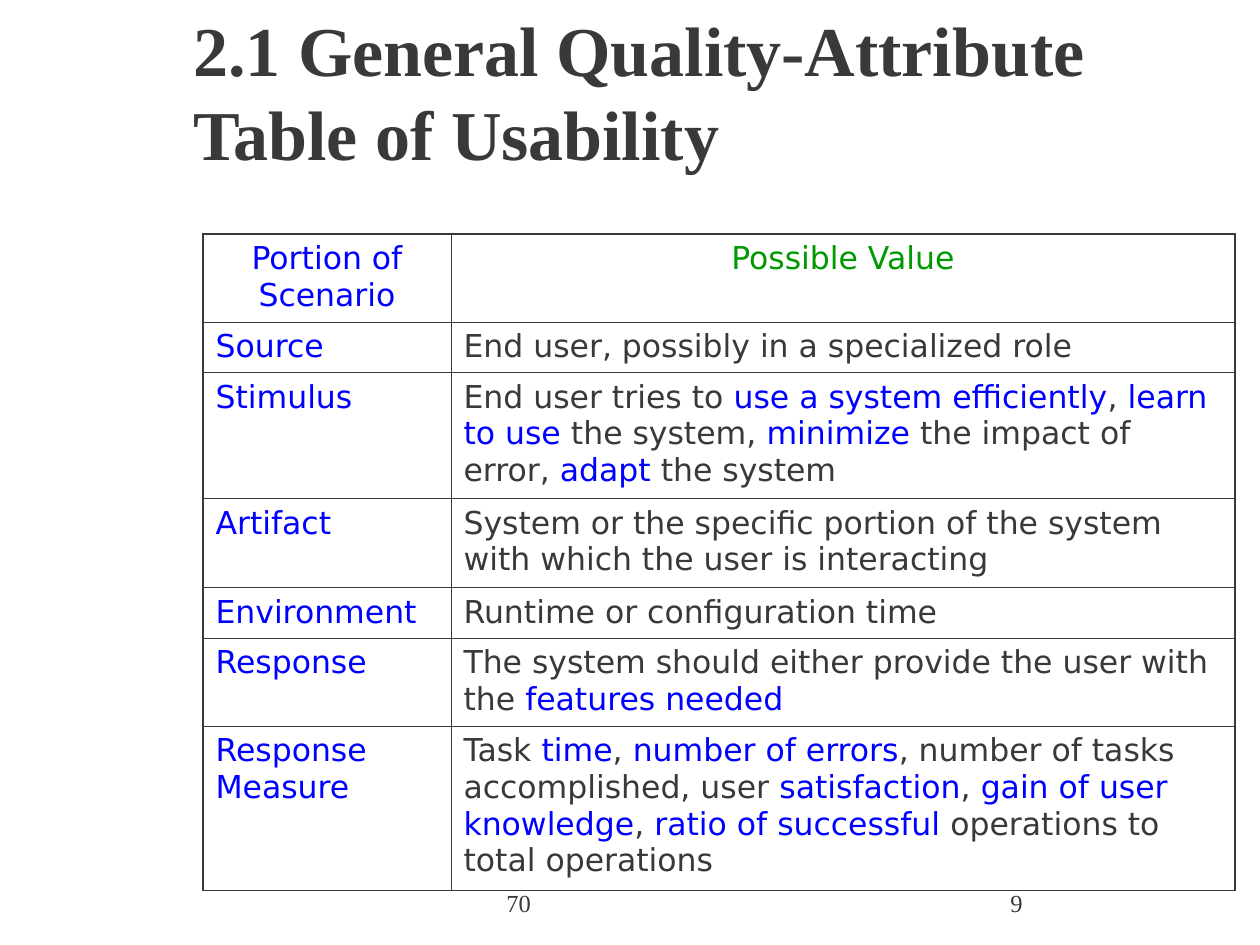
"""Build the slide with the general quality-attribute table of usability."""
import dataclasses
import typing

import lxml.etree
import pptx
import pptx.dml.color
import pptx.enum.text
import pptx.oxml.ns
import pptx.util

EMU_PER_PX = 914400 / 126
ALIGN = pptx.enum.text.PP_ALIGN
ANCHOR = pptx.enum.text.MSO_ANCHOR


@dataclasses.dataclass(frozen=True)
class Theme:
    ink: str = "393939"
    accent: str = "0000FF"
    heading: str = "009900"
    serif: str = "Times New Roman"
    sans: str = "DejaVu Sans"
    title_size: int = 40
    title_line: int = 48
    table_size: int = 18
    footer_size: int = 14
    outer_line: float = 1.08
    inner_line: float = 0.45


class Box(typing.NamedTuple):
    left: int
    top: int
    width: int
    height: int


class Label(typing.NamedTuple):
    text: str
    box: Box


class Row(typing.NamedTuple):
    portion: str
    value: str
    height: int


THEME = Theme()
TITLE = Label("2.1 General Quality-Attribute Table of Usability", Box(181, 6, 1033, 169))
FOOTERS = (Label("70", Box(494, 882, 399, 63)), Label("9", Box(998, 882, 262, 63)))
TABLE_BOX = Box(203, 234, 1032, 655)
COLUMN_WIDTHS = (248, 784)
ROWS = (
    Row("Portion of Scenario", "Possible Value", 88),
    Row("Source", "End user, possibly in a specialized role", 50),
    Row("Stimulus", "End user tries to |use a system efficiently|, |learn to use |the system, "
        "|minimize| the impact of error, |adapt| the system", 126),
    Row("Artifact", "System or the specific portion of the system with which the user is interacting", 89),
    Row("Environment", "Runtime or configuration time", 50),
    Row("Response", "The system should either provide the user with the |features needed", 88),
    Row("Response Measure", "Task |time|, |number of errors|, number of tasks accomplished, user "
        "|satisfaction|, |gain of user knowledge|, |ratio of successful |operations to total operations", 164),
)


def px(length: int) -> int:
    """Turn pixels into EMU."""
    return round(length * EMU_PER_PX)


def write_text(text_frame, text: str, *, size: int, font: str, color: str = THEME.ink,
               bold: bool = False, align=ALIGN.LEFT, line: int | None = None) -> None:
    """Write one paragraph in which every second part between bars is accented."""
    text_frame.word_wrap = True
    paragraph = text_frame.paragraphs[0]
    paragraph.alignment = align
    if line:
        paragraph.line_spacing = pptx.util.Pt(line)
    for index, part in enumerate(text.split("|")):
        run = paragraph.add_run()
        run.text = part
        run.font.size = pptx.util.Pt(size)
        run.font.name = font
        run.font.bold = bold
        run_color = THEME.accent if index % 2 else color
        run.font.color.rgb = pptx.dml.color.RGBColor.from_string(run_color)


def add_label(slide, label: Label, *, anchor=ANCHOR.TOP, **text_format) -> None:
    """Add a text box holding one label."""
    shape = slide.shapes.add_textbox(*map(px, label.box))
    shape.text_frame.vertical_anchor = anchor
    write_text(shape.text_frame, label.text, font=THEME.serif, **text_format)


def set_borders(cell, outer_sides: dict[str, bool]) -> None:
    """Draw the four borders of a cell, heavier on the table's outside."""
    properties = cell._tc.get_or_add_tcPr()
    qualified = pptx.oxml.ns.qn
    for side, is_outer in outer_sides.items():
        width = THEME.outer_line if is_outer else THEME.inner_line
        border = lxml.etree.SubElement(properties, qualified(f"a:ln{side}"), w=str(pptx.util.Pt(width)))
        fill = lxml.etree.SubElement(border, qualified("a:solidFill"))
        lxml.etree.SubElement(fill, qualified("a:srgbClr"), val=THEME.ink)


def add_scenario_table(slide, rows: tuple[Row, ...]) -> None:
    """Add the table of scenario portions and their possible values."""
    shape = slide.shapes.add_table(len(rows), len(COLUMN_WIDTHS), *map(px, TABLE_BOX))
    table = shape.table
    table.first_row = table.horz_banding = False
    for column, width in zip(table.columns, COLUMN_WIDTHS):
        column.width = px(width)
    for row_index, row in enumerate(rows):
        table.rows[row_index].height = px(row.height)
        is_header = row_index == 0
        value_color = THEME.heading if is_header else THEME.ink
        contents = ((row.portion, THEME.accent), (row.value, value_color))
        for column_index, (text, color) in enumerate(contents):
            cell = table.cell(row_index, column_index)
            write_text(cell.text_frame, text, size=THEME.table_size, font=THEME.sans, color=color,
                       align=ALIGN.CENTER if is_header else ALIGN.LEFT)
            set_borders(cell, {
                "L": column_index == 0,
                "R": column_index == len(COLUMN_WIDTHS) - 1,
                "T": is_header,
                "B": row_index == len(rows) - 1,
            })
            cell.fill.background()


def main() -> None:
    """Build and save the presentation."""
    presentation = pptx.Presentation()
    presentation.slide_width, presentation.slide_height = px(1260), px(945)
    slide = presentation.slides.add_slide(presentation.slide_layouts[6])
    add_label(slide, TITLE, anchor=ANCHOR.MIDDLE, size=THEME.title_size, bold=True, line=THEME.title_line)
    add_scenario_table(slide, ROWS)
    for footer in FOOTERS:
        add_label(slide, footer, size=THEME.footer_size)
    presentation.save("out.pptx")


if __name__ == "__main__":
    main()
